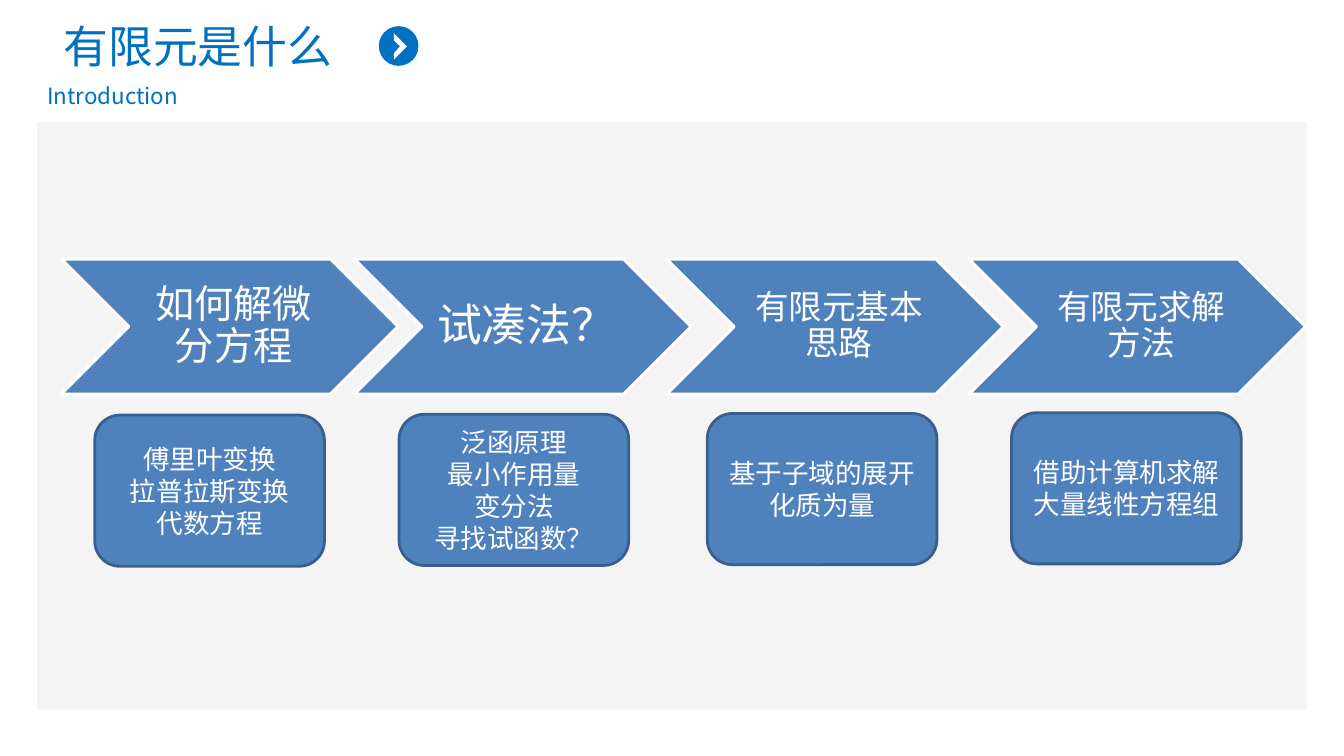
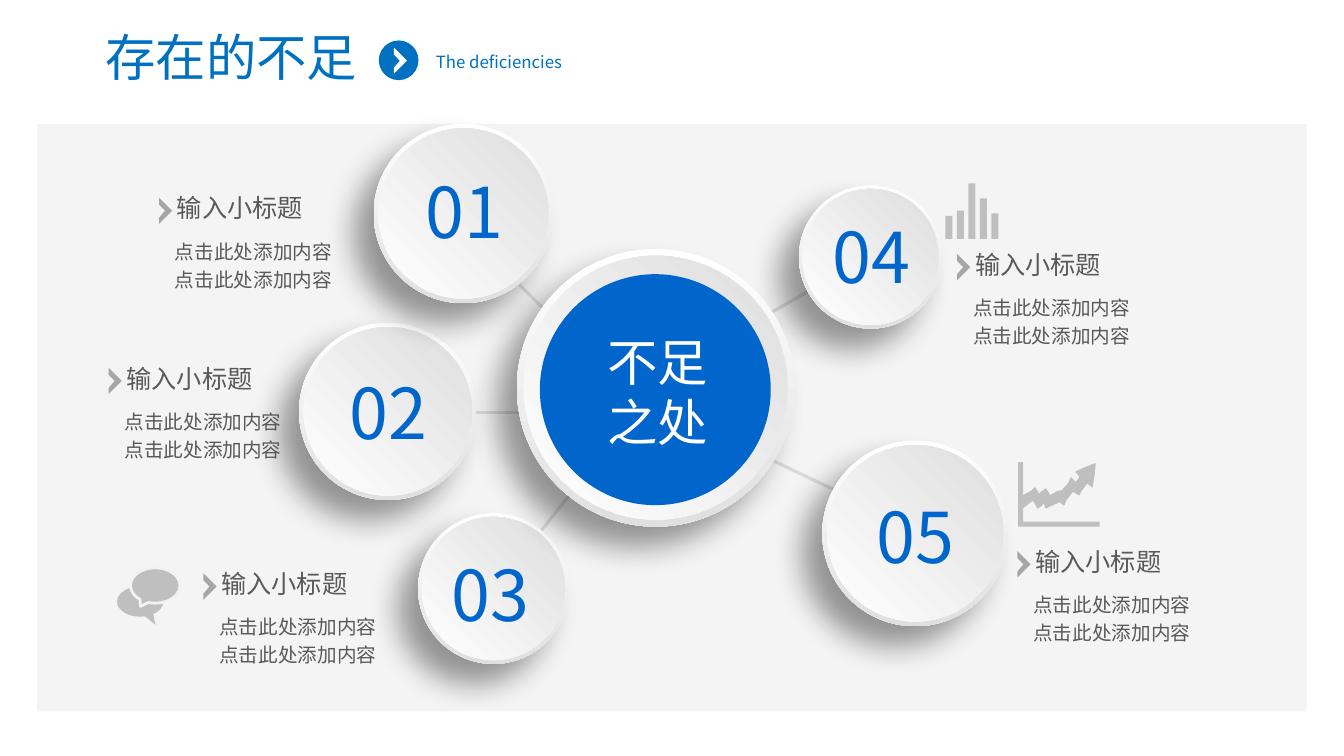
from dataclasses import dataclass

from lxml import etree
from pptx import Presentation
from pptx.dml.color import RGBColor
from pptx.enum.shapes import MSO_CONNECTOR, MSO_SHAPE
from pptx.enum.text import MSO_ANCHOR, MSO_AUTO_SIZE, PP_ALIGN
from pptx.oxml.ns import qn
from pptx.util import Cm, Pt

RECTANGLE, OVAL = MSO_SHAPE.RECTANGLE, MSO_SHAPE.OVAL
CHEVRON, ROUNDED = MSO_SHAPE.CHEVRON, MSO_SHAPE.ROUNDED_RECTANGLE
BUBBLE = MSO_SHAPE.OVAL_CALLOUT
STRAIGHT = MSO_CONNECTOR.STRAIGHT
LEFT, CENTER = PP_ALIGN.LEFT, PP_ALIGN.CENTER
MIDDLE = MSO_ANCHOR.MIDDLE
NO_AUTOFIT = MSO_AUTO_SIZE.NONE
TITLE_ONLY = 5


@dataclass(frozen=True)
class Theme:
    font: str = "Noto Sans CJK SC"
    step_font: str = "Calibri"
    title: str = "0070C0"
    panel: str = "F2F2F2"
    step: str = "4F81BD"
    step_edge: str = "3A5F8C"
    accent: str = "0066CC"
    text: str = "595959"
    icon: str = "BFBFBF"
    marker: str = "A6A6A6"
    link: str = "D9D9D9"
    sliver: str = "D40F5A"
    white: str = "FFFFFF"
    rim_end: str = "E0E0E0"
    face_end: str = "DDDEDD"
    number_size: int = 50
    hub_size: int = 36
    heading_size: int = 18
    body_size: int = 14
    detail_size: int = 19


theme = Theme()

# Outlines on their own small grids, scaled to the box they are drawn in
ARROW = [(6, 13), (0, 20), (0, 26), (13, 13), (0, 0), (0, 7)]
SLIVER = [(0, 1), (1, 0)]
TREND = [
    (4, 59), (80, 59), (80, 63), (0, 63), (0, 0), (4, 0), (4, 33), (13, 28),
    (16, 25), (19, 29), (20, 32), (23, 29), (27, 26), (30, 31), (31, 33),
    (38, 29), (41, 28), (42, 29), (50, 20), (52, 15), (55, 18), (57, 20),
    (61, 14), (57, 9), (66, 5), (76, 1), (75, 12), (73, 24), (68, 20),
    (62, 28), (60, 32), (55, 29), (54, 28), (47, 37), (45, 42), (41, 39),
    (40, 39), (31, 43), (27, 45), (26, 42), (24, 39), (23, 42), (19, 45),
    (16, 40), (14, 37), (4, 45),
]


def draw(slide, kind, left, top, width, height, fill, line=None, line_width=2):
    """Draw a preset shape, or an outline given as points; lengths in cm."""
    if isinstance(kind, list):
        across = width / max(x for x, y in kind)
        down = height / max(y for x, y in kind)
        points = [(Cm(left + x * across), Cm(top + y * down)) for x, y in kind]
        builder = slide.shapes.build_freeform(*points[0])
        builder.add_line_segments(points[1:], close=True)
        shape = builder.convert_to_shape()
    else:
        shape = slide.shapes.add_shape(kind, Cm(left), Cm(top), Cm(width), Cm(height))
    shape.shadow.inherit = False
    if isinstance(fill, tuple):
        *stops, angle = fill
        shape.fill.gradient()
        shape.fill.gradient_angle = angle
        for stop, color in zip(shape.fill.gradient_stops, stops):
            stop.color.rgb = RGBColor.from_string(color)
    else:
        shape.fill.solid()
        shape.fill.fore_color.rgb = RGBColor.from_string(fill)
    if line:
        shape.line.color.rgb = RGBColor.from_string(line)
        shape.line.width = Pt(line_width)
    else:
        shape.line.fill.background()
    return shape


def write(shape, text, *, size, color, font=theme.font, align=LEFT, spacing=None, insets=None):
    """Write one paragraph per line of text, centred vertically in the shape."""
    frame = shape.text_frame
    frame.word_wrap = True
    frame.auto_size = NO_AUTOFIT
    frame.vertical_anchor = MIDDLE
    if insets:
        frame.margin_left, frame.margin_right = Cm(insets[0]), Cm(insets[1])
    for index, line in enumerate(text.split("\n")):
        paragraph = frame.add_paragraph() if index else frame.paragraphs[0]
        paragraph.alignment = align
        if spacing:
            paragraph.line_spacing = spacing
        run = paragraph.add_run()
        run.text = line
        run.font.size = Pt(size)
        run.font.name = font
        run.font.color.rgb = RGBColor.from_string(color)
        etree.SubElement(run._r.get_or_add_rPr(), qn("a:ea"), typeface=font)


presentation = Presentation()
presentation.slide_width, presentation.slide_height = Cm(33.88), Cm(19.05)

# Shared header and panel: title, subtitle, badge top, panel top
headers = [
    (("有限元是什么", 32, (0, 0.33, 9.98, 1.63)),
     ("Introduction", 16, (0.94, 1.96, 14.73, 0.92)), 0.66, 3.07),
    (("存在的不足", 36, (1.93, 0.53, 7.8, 1.8)),
     ("The deficiencies", 12, (10.74, 1.17, 6.35, 0.76)), 1.02, 3.12),
]
for title, subtitle, badge_top, panel_top in headers:
    slide = presentation.slides.add_slide(presentation.slide_layouts[TITLE_ONLY])
    panel = draw(slide, RECTANGLE, 0.94, panel_top, 32, 14.81, theme.panel)
    panel_color = panel.fill._xPr.find(qn("a:solidFill"))[0]
    etree.SubElement(panel_color, qn("a:alpha"), val="78000")

    text, size, box = title
    heading = slide.shapes.title
    heading.left, heading.top, heading.width, heading.height = map(Cm, box)
    write(heading, text, size=size, color=theme.title, align=CENTER)

    text, size, box = subtitle
    write(slide.shapes.add_textbox(*map(Cm, box)), text, size=size, color=theme.title)

    draw(slide, OVAL, 9.55, badge_top, 1, 1, theme.title)
    draw(slide, ARROW, 9.93, badge_top + 0.18, 0.33, 0.66, theme.white)

process_slide, deficiency_slide = presentation.slides

# Process slide: chevrons with a detail box below each
draw(process_slide, SLIVER, 19.13, 4.65, 0.23, 0.23, theme.sliver)
steps = [
    (1.55, "如何解微分方程", 28, 2.39, "傅里叶变换\n拉普拉斯变换\n代数方程"),
    (8.94, "试凑法？", 32, 10.06, "泛函原理\n最小作用量\n变分法\n寻找试函数？"),
    (16.81, "有限元基本思路", 24, 17.83, "基于子域的展开\n化质为量"),
    (24.43, "有限元求解方法", 24, 25.5, "借助计算机求解大量线性方程组"),
]
for index, (step_left, name, size, detail_left, detail) in enumerate(steps):
    chevron = draw(process_slide, CHEVRON, step_left, 6.53, 8.48, 3.4, theme.step, theme.white)
    write(chevron, name, size=size, color=theme.white, font=theme.step_font,
          align=CENTER, spacing=0.9, insets=(0.3, 0.1))
    detail_box = draw(process_slide, ROUNDED, detail_left, 10.46 - 0.02 * index,
                      5.79, 3.81, theme.step, theme.step_edge)
    write(detail_box, detail, size=theme.detail_size, color=theme.white,
          font=theme.step_font, align=CENTER)

# Deficiency slide: links behind the discs
links = [
    (14.45, 8.53, 12.37, 6.45),
    (14.45, 10.39, 11.91, 10.39),
    (15.34, 11.23, 13.03, 14.15),
    (20.73, 7.14, 16.64, 9.47),
    (21.95, 12.78, 18.69, 11.23),
]
for ends in links:
    link = deficiency_slide.shapes.add_connector(STRAIGHT, *map(Cm, ends))
    link.line.color.rgb = RGBColor.from_string(theme.link)
    link.line.width = Pt(2.25)
    etree.SubElement(link._element.spPr, qn("a:effectLst"))

# Discs: left, top, diameter, number and its centre; the hub has no number
discs = [
    (20.14, 4.67, 3.61, "04", 21.96, 6.45),
    (20.73, 11.1, 4.68, "05", 23.08, 13.49),
    (10.54, 12.93, 3.8, "03", 12.36, 14.96),
    (7.54, 8.13, 4.47, "02", 9.79, 10.36),
    (13.03, 6.27, 7, None, 0, 0),
    (9.42, 3.12, 4.52, "01", 11.7, 5.31),
]
for left, top, diameter, number, center_x, center_y in discs:
    rim = draw(deficiency_slide, OVAL, left, top, diameter, diameter,
               (theme.white, theme.rim_end, 270))
    effects = rim._element.spPr.find(qn("a:effectLst"))
    shadow = etree.SubElement(effects, qn("a:outerShdw"), blurRad=str(Pt(22)),
                              dist=str(Pt(20)), dir="8100000", algn="tr", rotWithShape="0")
    shadow_color = etree.SubElement(shadow, qn("a:srgbClr"), val="000000")
    etree.SubElement(shadow_color, qn("a:alpha"), val="40000")
    inset = 0.025 * diameter
    face = diameter - 2 * inset
    draw(deficiency_slide, OVAL, left + inset, top + inset, face, face,
         (theme.white, theme.face_end, 45))
    if number:
        number_box = deficiency_slide.shapes.add_textbox(
            Cm(center_x - 1.31), Cm(center_y - 1.2), Cm(2.62), Cm(2.4))
        write(number_box, number, size=theme.number_size, color=theme.accent, align=CENTER)

# Hub centre
draw(deficiency_slide, OVAL, 13.61, 6.91, 5.82, 5.82, theme.accent)
hub_box = deficiency_slide.shapes.add_textbox(Cm(14.63), Cm(8.2), Cm(3.91), Cm(3.33))
write(hub_box, "不足\n之处", size=theme.hub_size, color=theme.white, align=CENTER, spacing=Pt(43))

# Captions, each placed from its marker
markers = [(4.01, 4.98), (2.74, 9.27), (5.13, 14.45), (24.13, 6.4), (25.65, 13.89)]
for left, top in markers:
    draw(deficiency_slide, ARROW, left, top, 0.33, 0.66, theme.marker)
    caption = deficiency_slide.shapes.add_textbox(
        Cm(left + 0.2), Cm(top - 0.25), Cm(3.89), Cm(1.02))
    write(caption, "输入小标题", size=theme.heading_size, color=theme.text)
    body = deficiency_slide.shapes.add_textbox(
        Cm(left + 0.15), Cm(top + 0.81), Cm(4.52), Cm(1.68))
    write(body, "点击此处添加内容\n点击此处添加内容", size=theme.body_size,
          color=theme.text, spacing=Pt(20))

# Icons: bars, trend arrow, speech bubbles
for index, height in enumerate([0.58, 0.71, 1.4, 1.02, 0.64]):
    draw(deficiency_slide, RECTANGLE, 23.83 + 0.29 * index, 6.02 - height, 0.18, height, theme.icon)
draw(deficiency_slide, TREND, 25.68, 11.66, 2.03, 1.6, theme.icon, theme.icon, 0.75)
bubbles = [
    (2.95, 14.78, 1.17, 0.76, None, (0.33, 0.77)),
    (3.29, 14.31, 1.25, 0.89, theme.panel, (-0.3, 0.59)),
]
for left, top, width, height, edge, tail in bubbles:
    bubble = draw(deficiency_slide, BUBBLE, left, top, width, height, theme.icon, edge)
    bubble.adjustments[0], bubble.adjustments[1] = tail

presentation.save("out.pptx")
